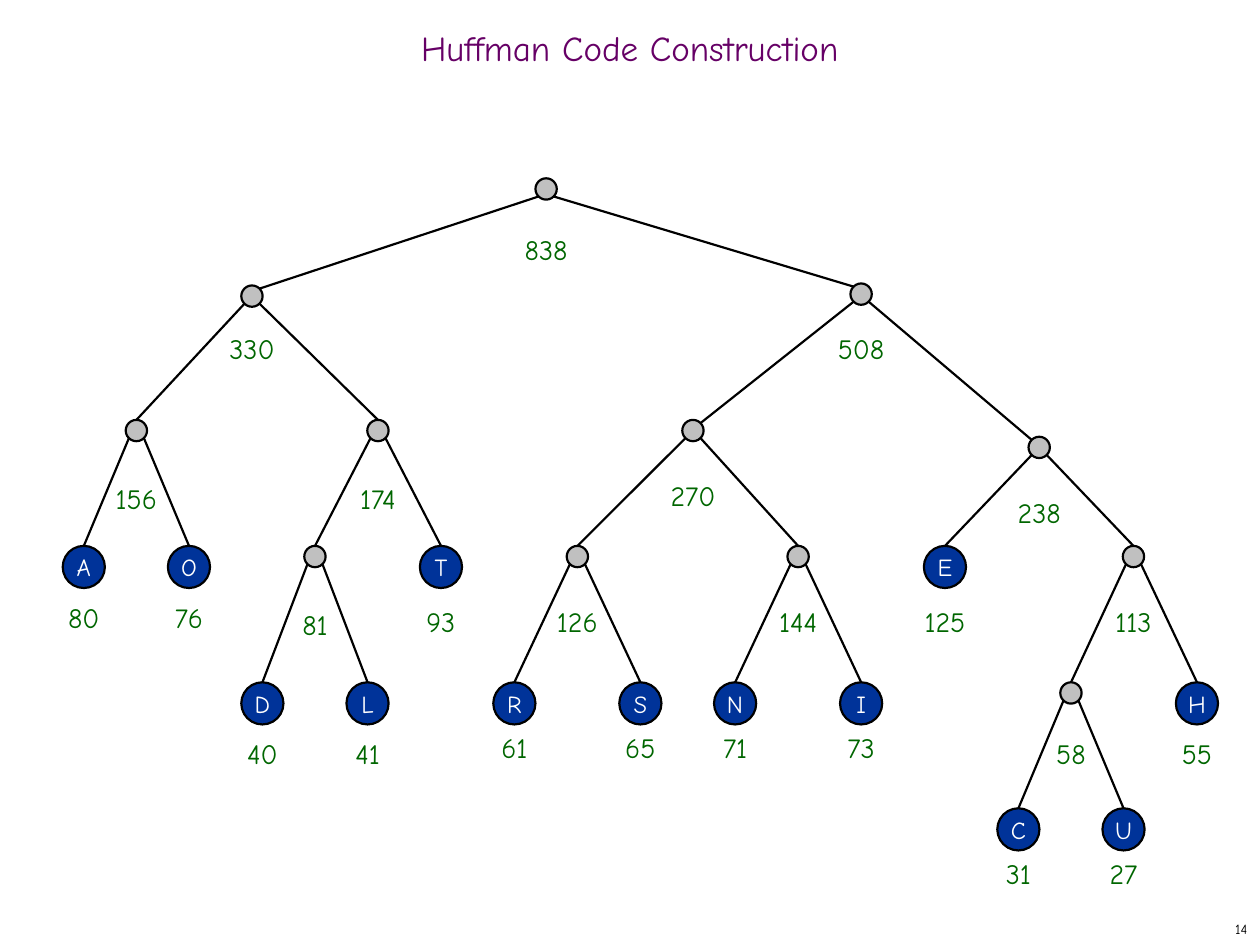
"""Build the slide with the finished Huffman code tree."""
from math import copysign

from lxml.etree import SubElement
from pptx import Presentation
from pptx.dml.color import RGBColor
from pptx.enum.shapes import MSO_CONNECTOR, MSO_SHAPE
from pptx.enum.text import MSO_ANCHOR, MSO_AUTO_SIZE, PP_ALIGN
from pptx.oxml.ns import qn
from pptx.util import Cm, Pt

COLORS = {
    "title": "660066",
    "weight": "006600",
    "inner": "C0C0C0",
    "leaf": "003399",
    "letter": "FFFFFF",
    "ink": "000000",
}
LEAF_SIZE, INNER_SIZE = 0.85, 0.43
CORNER = 0.15

TREE = {
    838: ("", 11.01, 3.81, 4.57, (330, 508)),
    330: ("", 5.08, 5.97, 6.55, (156, 174)),
    508: ("", 17.36, 5.93, 6.55, (270, 238)),
    156: ("", 2.75, 8.68, 9.58, (80, 76)),
    174: ("", 7.62, 8.68, 9.58, (81, 93)),
    270: ("", 13.97, 8.68, 9.53, (126, 144)),
    238: ("", 20.95, 9.02, 9.86, (125, 113)),
    80: ("A", 1.69, 11.43, 11.99, ()),
    76: ("O", 3.81, 11.43, 11.99, ()),
    81: ("", 6.35, 11.22, 12.12, (40, 41)),
    93: ("T", 8.89, 11.43, 12.07, ()),
    126: ("", 11.64, 11.22, 12.07, (61, 65)),
    144: ("", 16.09, 11.22, 12.07, (71, 73)),
    125: ("E", 19.05, 11.43, 12.07, ()),
    113: ("", 22.85, 11.22, 12.07, (58, 55)),
    40: ("D", 5.29, 14.18, 14.73, ()),
    41: ("L", 7.41, 14.18, 14.73, ()),
    61: ("R", 10.37, 14.18, 14.6, ()),
    65: ("S", 12.91, 14.18, 14.6, ()),
    71: ("N", 14.82, 14.18, 14.6, ()),
    73: ("I", 17.36, 14.18, 14.6, ()),
    58: ("", 21.59, 13.97, 14.73, (31, 27)),
    55: ("H", 24.13, 14.18, 14.73, ()),
    31: ("C", 20.53, 16.72, 17.15, ()),
    27: ("U", 22.65, 16.72, 17.15, ()),
}


class TreeSlide:
    """Hold the style and the slide, and draw each kind of element."""

    font_name = "Comic Neue"
    line_width = Pt(1.25)

    def __init__(self, slide):
        self.slide = slide

    def color(self, key):
        return RGBColor.from_string(COLORS[key])

    def set_text(self, frame, text, size, color, align=PP_ALIGN.CENTER,
                 anchor=MSO_ANCHOR.MIDDLE, wrap=True):
        frame_format = {"word_wrap": wrap, "vertical_anchor": anchor,
                        "auto_size": MSO_AUTO_SIZE.NONE}
        for attribute, value in frame_format.items():
            setattr(frame, attribute, value)
        paragraph = frame.paragraphs[0]
        paragraph.alignment = align
        run = paragraph.add_run()
        run.text = text
        for attribute, value in {"name": self.font_name, "size": Pt(size)}.items():
            setattr(run.font, attribute, value)
        run.font.color.rgb = self.color(color)

    def title(self, text):
        heading = self.slide.shapes.title
        place = {"left": Cm(0), "top": Cm(0.43), "width": Cm(25.4), "height": Cm(1.27)}
        for attribute, value in place.items():
            setattr(heading, attribute, value)
        self.set_text(heading.text_frame, text, 20, "title")
        heading.text_frame.paragraphs[0].line_spacing = 0.7

    def label(self, text, left, top, width, height, size, color, **layout):
        box = self.slide.shapes.add_textbox(Cm(left), Cm(top), Cm(width), Cm(height))
        self.set_text(box.text_frame, text, size, color, **layout)

    def node(self, letter, x, y):
        size = LEAF_SIZE if letter else INNER_SIZE
        circle = self.slide.shapes.add_shape(
            MSO_SHAPE.OVAL, Cm(x - size / 2), Cm(y - size / 2), Cm(size), Cm(size))
        circle.shadow.inherit = False
        circle.fill.solid()
        circle.fill.fore_color.rgb = self.color("leaf" if letter else "inner")
        circle.line.color.rgb = self.color("ink")
        circle.line.width = self.line_width
        if letter:
            self.set_text(circle.text_frame, letter, 14, "letter", wrap=False)

    def edge(self, parent, child):
        _, x1, y1, *_ = parent
        letter, x2, y2, *_ = child
        shift = copysign(CORNER, x2 - x1)
        if abs(x2 - x1) > y2 - y1:
            end = x2 - shift, y2 - CORNER
        else:
            end = x2, y2 - (LEAF_SIZE if letter else INNER_SIZE) / 2
        branch = self.slide.shapes.add_connector(
            MSO_CONNECTOR.STRAIGHT, Cm(x1 + shift), Cm(y1 + CORNER), *map(Cm, end))
        branch.line.color.rgb = self.color("ink")
        branch.line.width = self.line_width
        SubElement(branch._element.spPr, qn("a:effectLst"))


def main():
    deck = Presentation()
    deck.slide_width, deck.slide_height = Cm(25.4), Cm(19.05)
    page = TreeSlide(deck.slides.add_slide(deck.slide_layouts[5]))
    page.title("Huffman Code Construction")
    for parent in TREE.values():
        for weight in parent[-1]:
            page.edge(parent, TREE[weight])
    for weight, (letter, x, y, label_top, _) in TREE.items():
        page.node(letter, x, y)
        page.label(str(weight), x - 0.85, label_top, 1.7, 0.94, 16, "weight",
                   anchor=MSO_ANCHOR.TOP)
    page.label("14", 20.11, 18.41, 5.29, 0.64, 8, "ink", align=PP_ALIGN.RIGHT)
    deck.save("out.pptx")


if __name__ == "__main__":
    main()
